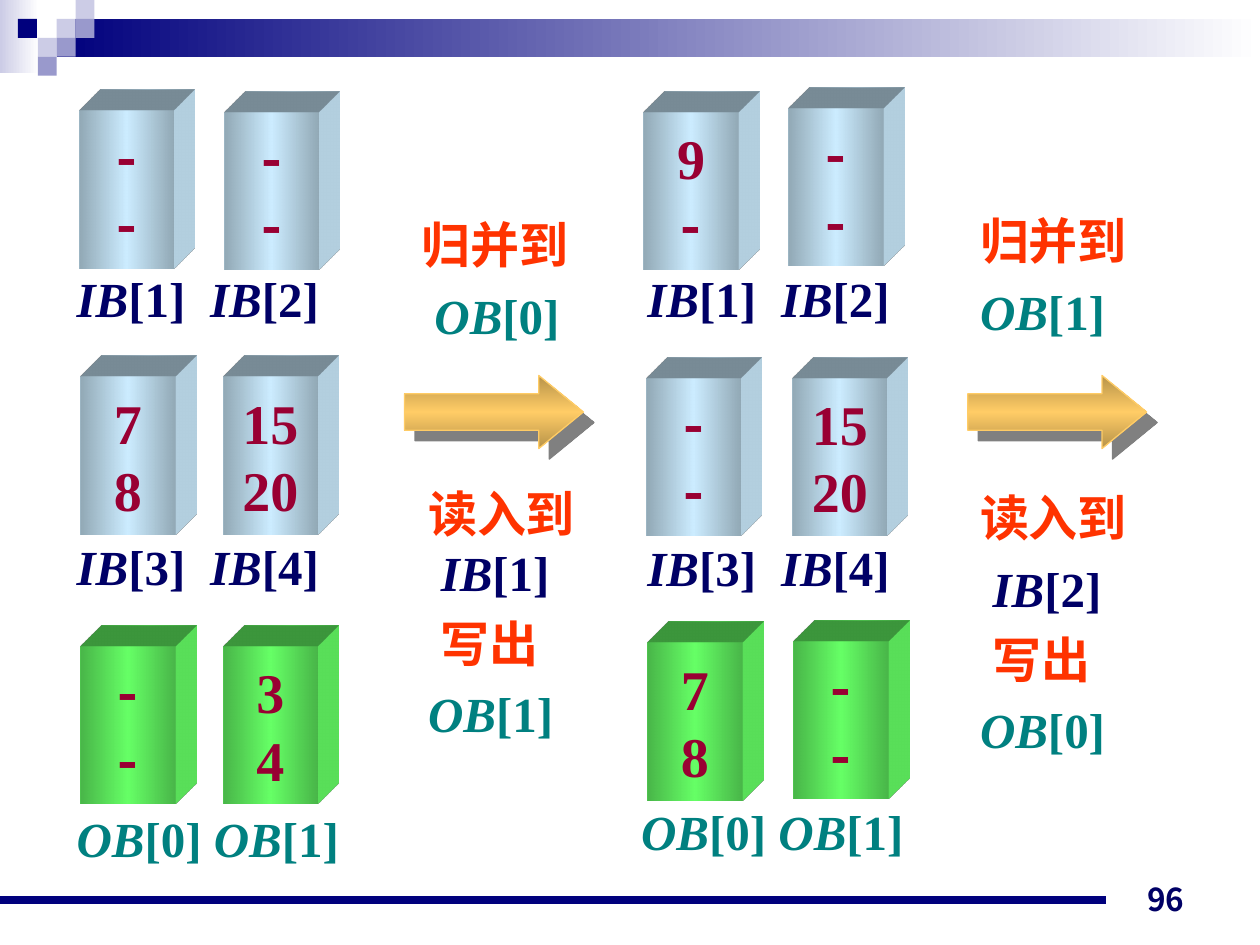
from lxml import etree
from pptx import Presentation
from pptx import util as u
from pptx.dml import color
from pptx.enum import shapes, text
from pptx.oxml import parse_xml
from pptx.oxml.ns import nsdecls, qn

WIDTH, HEIGHT = 10, 7.5
TILE = 0.15
SERIF, SANS, NUMBER = "Times New Roman", "Noto Sans CJK SC", "Noto Sans CJK JP"
COLORS = {
    "navy": "00007D", "pale": "CCCCE6", "lilac": "9999CC", "white": "FFFFFF",
    "ink": "000066", "teal": "008080", "red": "FF3300", "value": "990033",
    "steel": "92A9B6", "ice": "CCECFF", "moss": "49B649", "lime": "66FF66",
    "bronze": "B69249", "gold": "FFCC66", "gray": "808080",
}
INPUT, OUTPUT = ("steel", "ice", "steel"), ("moss", "lime", "moss")


def rgb(name):
    return color.RGBColor.from_string(COLORS[name])


def add_gradient(shape, names, angle=0):
    shape.fill.gradient()
    shape.fill.gradient_angle = angle
    stops = shape._element.spPr.find(qn("a:gradFill")).find(qn("a:gsLst"))
    for stop in list(stops):
        stops.remove(stop)
    for index, name in enumerate(names):
        position = str(index * 100000 // (len(names) - 1))
        stop = etree.SubElement(stops, qn("a:gs"), pos=position)
        etree.SubElement(stop, qn("a:srgbClr"), val=COLORS[name])


def add_block(page, kind, box, names, angle=0):
    shape = page.shapes.add_shape(kind, *map(u.Inches, box))
    shape.shadow.inherit = False
    shape.line.fill.background()
    if len(names) > 1:
        add_gradient(shape, names, angle)
    else:
        shape.fill.solid()
        shape.fill.fore_color.rgb = rgb(names[0])
    return shape


def style(span, size, name, face=SERIF, italic=False):
    span.font.size = u.Pt(size)
    span.font.name = face
    span.font.bold = True
    span.font.italic = italic
    span.font.color.rgb = rgb(name)
    properties = span._r.get_or_add_rPr()
    latin = properties.find(qn("a:latin"))
    latin.addnext(latin.makeelement(qn("a:ea"), typeface=SANS))


def add_text(page, box):
    shape = page.shapes.add_textbox(*map(u.Inches, box))
    shape.text_frame.word_wrap = False
    return shape.text_frame


def add_reference(para, prefix, index, name, gap=""):
    for words, italic in ((prefix, True), (f"[{index}]{gap}", False)):
        span = para.add_run()
        span.text = words
        style(span, 28, name, italic=italic)


def draw_banner(page):
    rectangle = shapes.MSO_SHAPE.RECTANGLE
    add_block(page, rectangle, (0, 0, 0.31, 0.58), ("pale", "white"))
    add_block(page, rectangle, (3 * TILE, TILE, WIDTH - 3 * TILE, 2 * TILE), ("navy", "white"))
    tiles = ((3, 1, "pale"), (4, 0, "pale"), (4, 1, "lilac"), (2, 2, "pale"),
             (0.95, 1, "navy"), (3, 2, "lilac"), (2, 3, "lilac"))
    for column, row, name in tiles:
        add_block(page, rectangle, (column * TILE, row * TILE, TILE, TILE), (name,))


def draw_footer(page):
    ends = map(u.Inches, (0, 7.14, 8.78, 7.14))
    rule = page.shapes.add_connector(shapes.MSO_CONNECTOR.STRAIGHT, *ends)
    rule.line.color.rgb = rgb("navy")
    rule.line.width = u.Pt(4.5)
    etree.SubElement(rule._element.spPr, qn("a:effectLst"))
    frame = add_text(page, (7.17, 6.83, 2.33, 0.5))
    frame.word_wrap = True
    frame.vertical_anchor = text.MSO_ANCHOR.BOTTOM
    para = frame.paragraphs[0]
    para.text = "96"
    para.alignment = text.PP_ALIGN.RIGHT
    style(para.runs[0], 18, "ink", NUMBER)


def draw_buffer(page, left, top, values, names):
    shape = add_block(page, shapes.MSO_SHAPE.RECTANGLE, (left, top, 0.75, 1.25), names)
    scene = (f'<a:scene3d {nsdecls("a")}><a:camera prst="legacyObliqueTopRight"/>'
             '<a:lightRig rig="legacyFlat3" dir="b"/></a:scene3d>')
    depth = (f'<a:sp3d {nsdecls("a")} extrusionH="430200" prstMaterial="legacyMatte">'
             f'<a:extrusionClr><a:srgbClr val="{COLORS[names[1]]}"/></a:extrusionClr></a:sp3d>')
    for part in (scene, depth):
        shape._element.spPr.append(parse_xml(part))
    frame = shape.text_frame
    frame.word_wrap = False
    frame.vertical_anchor = text.MSO_ANCHOR.MIDDLE
    frame.text = "\n".join(values)
    for para in frame.paragraphs:
        para.alignment = text.PP_ALIGN.CENTER
        style(para.runs[0], 32, "value", SANS if para.text == "-" else SERIF)


def draw_caption(page, left, top, prefix, first):
    is_input = prefix == "IB"
    name = "ink" if is_input else "teal"
    frame = add_text(page, (left, top, 2.12 if is_input else 2.29, 0.57))
    para = frame.paragraphs[0]
    if is_input:
        tabs = etree.SubElement(para._p.get_or_add_pPr(), qn("a:tabLst"))
        etree.SubElement(tabs, qn("a:tab"), pos=str(u.Inches(1.06)), algn="l")
    add_reference(para, prefix, first, name, "\t" if is_input else " ")
    add_reference(para, prefix, first + 1, name)


def draw_state(page, rows):
    for prefix, first, names, buffers, caption in rows:
        for left, top, values in buffers:
            draw_buffer(page, left, top, values.split(), names)
        draw_caption(page, *caption, prefix, first)


def draw_arrow(page, left, top):
    arrow = add_block(page, shapes.MSO_SHAPE.RIGHT_ARROW, (left, top, 1.42, 0.58),
                      ("bronze", "gold", "bronze"), 270)
    arrow.adjustments[1] = 0.61
    arrow.line.color.rgb = rgb("gold")
    arrow.line.width = u.Pt(0.75)
    effects = arrow._element.spPr.find(qn("a:effectLst"))
    shadow = etree.SubElement(effects, qn("a:outerShdw"), dist=str(u.Pt(8.5)),
                              dir="2700000", algn="ctr", rotWithShape="0")
    etree.SubElement(shadow, qn("a:srgbClr"), val=COLORS["gray"])


def draw_steps(page, box, lines):
    frame = add_text(page, box)
    for number, (content, indented, spacing) in enumerate(lines):
        para = frame.add_paragraph() if number else frame.paragraphs[0]
        para.line_spacing = spacing
        if indented:
            para._p.get_or_add_pPr().set("marL", str(u.Inches(0.1)))
        if isinstance(content, tuple):
            prefix, index = content
            add_reference(para, prefix, index, "ink" if prefix == "IB" else "teal")
        else:
            para.text = content
            style(para.runs[0], 28, "red")


def draw_transition(page, left, merge, load, target, source, output, indented, spacing):
    draw_steps(page, merge, (("归并到", False, 1.2), (("OB", target), indented, 1.2)))
    draw_arrow(page, left, 2.98)
    draw_steps(page, load, (("读入到", False, spacing), (("IB", source), True, spacing),
                            ("写出", True, 1.2), (("OB", output), False, 1.2)))


def main():
    deck = Presentation()
    deck.slide_width, deck.slide_height = u.Inches(WIDTH), u.Inches(HEIGHT)
    page = deck.slides.add_slide(deck.slide_layouts[6])
    draw_banner(page)
    draw_footer(page)
    draw_state(page, (
        ("IB", 1, INPUT, ((0.63, 0.88, "- -"), (1.78, 0.89, "- -")), (0.51, 2.08)),
        ("IB", 3, INPUT, ((0.64, 2.99, "7 8"), (1.77, 2.99, "15 20")), (0.51, 4.21)),
        ("OB", 0, OUTPUT, ((0.64, 5.13, "- -"), (1.77, 5.13, "3 4")), (0.51, 6.37)),
    ))
    draw_transition(page, 3.21, (3.25, 1.56, 1.37, 1.22), (3.3, 3.79, 1.37, 2.16),
                    0, 1, 1, True, 1.0)
    draw_state(page, (
        ("IB", 1, INPUT, ((5.11, 0.89, "9 -"), (6.26, 0.86, "- -")), (5.04, 2.08)),
        ("IB", 3, INPUT, ((5.13, 3, "- -"), (6.29, 3, "15 20")), (5.04, 4.22)),
        ("OB", 0, OUTPUT, ((5.14, 5.1, "7 8"), (6.3, 5.09, "- -")), (4.99, 6.31)),
    ))
    draw_transition(page, 7.68, (7.68, 1.53, 1.37, 1.22), (7.68, 3.73, 1.37, 2.34),
                    1, 2, 0, False, 1.2)
    deck.save("out.pptx")


if __name__ == "__main__":
    main()
